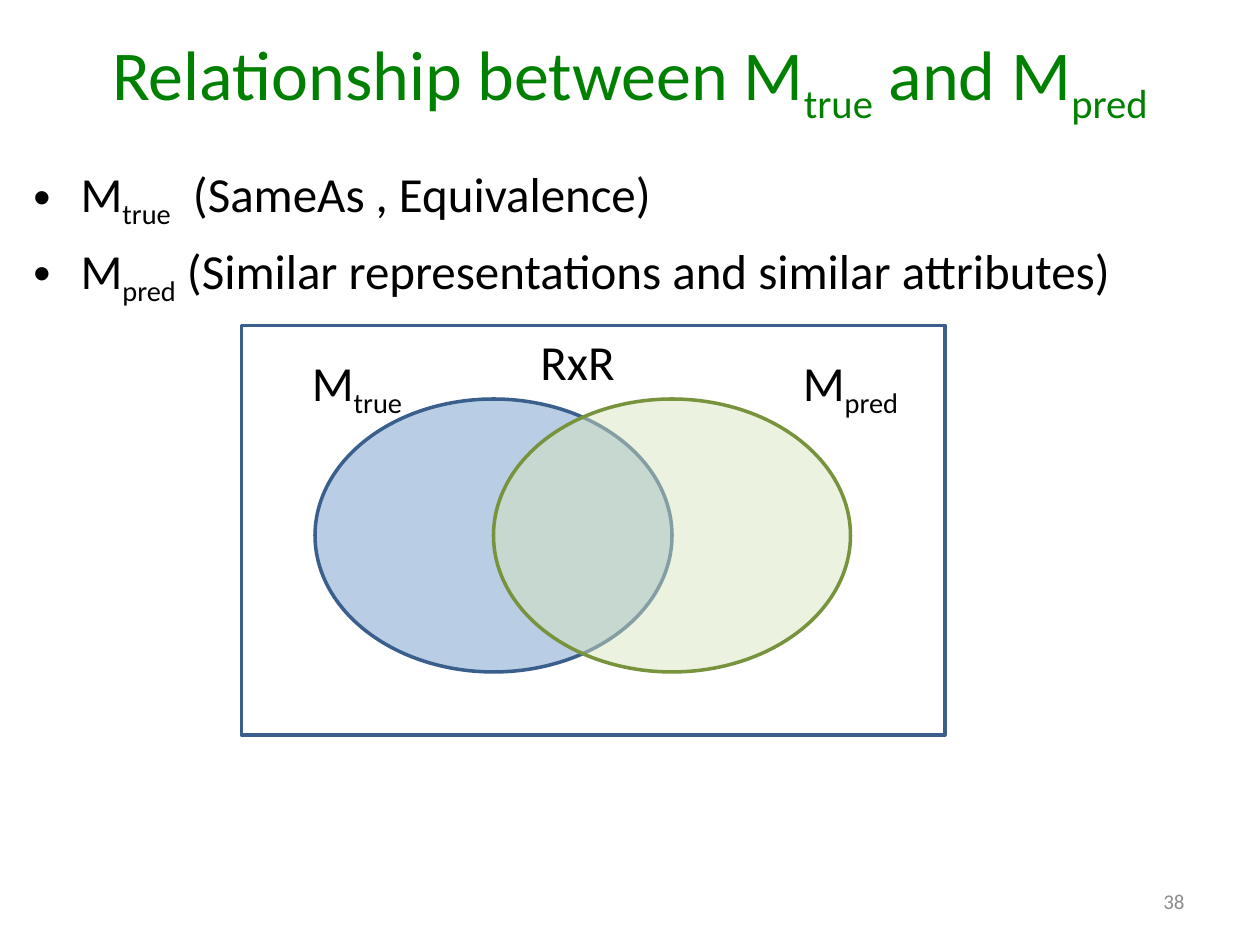
from dataclasses import dataclass

import lxml.etree
import pptx
import pptx.dml.color
import pptx.enum.shapes
import pptx.enum.text
import pptx.oxml.ns
import pptx.util

Align = pptx.enum.text.PP_ALIGN
Anchor = pptx.enum.text.MSO_ANCHOR
Shape = pptx.enum.shapes.MSO_SHAPE


@dataclass(frozen=True)
class Theme:
    font: str = "Calibri"
    title: str = "008000"
    text: str = "000000"
    muted: str = "8C8C8C"
    blue_fill: str = "B9CDE5"
    blue_line: str = "3A5F8C"
    green_fill: str = "D7E4BD"
    green_line: str = "77933C"
    title_size: float = 40
    body_size: float = 28
    number_size: float = 12
    line_width: float = 2


@dataclass(frozen=True)
class Box:
    left: float
    top: float
    width: float
    height: float

    def lengths(self) -> list[pptx.util.Length]:
        return [pptx.util.Pt(value) for value in (self.left, self.top, self.width, self.height)]


@dataclass(frozen=True)
class Piece:
    text: str
    subscript: bool = False


@dataclass(frozen=True)
class TextBlock:
    box: Box
    paragraphs: list[list[Piece]]
    size: float
    color: str
    align: Align = Align.CENTER
    anchor: Anchor = Anchor.TOP
    bulleted: bool = False


@dataclass(frozen=True)
class Outline:
    kind: Shape
    box: Box
    line: str
    fill: str | None = None
    opacity: int = 100


THEME = Theme()
M_TRUE = [Piece("M"), Piece("true", True)]
M_PRED = [Piece("M"), Piece("pred", True)]
BULLET_INDENT = 27
LABEL_HEIGHT = 41

TITLE = TextBlock(
    Box(36, 0, 648, 90),
    [[Piece("Relationship between M"), M_TRUE[1], Piece(" and M"), M_PRED[1]]],
    THEME.title_size, THEME.title, anchor=Anchor.MIDDLE)
BODY = TextBlock(
    Box(12, 90, 696, 402),
    [M_TRUE + [Piece("  (SameAs , Equivalence)")],
     M_PRED + [Piece(" (Similar representations and similar attributes)")]],
    THEME.body_size, THEME.text, Align.LEFT, bulleted=True)
SLIDE_NUMBER = TextBlock(
    Box(516, 500.5, 168, 28.75), [[Piece("38")]],
    THEME.number_size, THEME.muted, Align.RIGHT, Anchor.MIDDLE)
LABELS = [
    TextBlock(Box(left, top, width, LABEL_HEIGHT), [pieces], THEME.body_size, THEME.text)
    for left, top, width, pieces in (
        (162, 198, 84, M_TRUE),
        (276, 186, 108, [Piece("RxR")]),
        (444, 198, 84, M_PRED),
    )
]
OUTLINES = [
    Outline(Shape.OVAL, Box(180, 228, 204, 156), THEME.blue_line, THEME.blue_fill),
    Outline(Shape.OVAL, Box(282, 228, 204, 156), THEME.green_line, THEME.green_fill, 48),
    Outline(Shape.RECTANGLE, Box(138, 186, 402, 234), THEME.blue_line),
]


def rgb(color: str) -> pptx.dml.color.RGBColor:
    return pptx.dml.color.RGBColor.from_string(color)


def add_bullet(paragraph) -> None:
    properties = paragraph._p.get_or_add_pPr()
    indent = pptx.util.Pt(BULLET_INDENT)
    properties.set("marL", str(indent))
    properties.set("indent", str(-indent))
    font = lxml.etree.SubElement(properties, pptx.oxml.ns.qn("a:buFont"))
    font.set("typeface", "Arial")
    bullet = lxml.etree.SubElement(properties, pptx.oxml.ns.qn("a:buChar"))
    bullet.set("char", "•")


def draw_text(slide, block: TextBlock) -> None:
    frame = slide.shapes.add_textbox(*block.box.lengths()).text_frame
    frame.word_wrap = True
    frame.vertical_anchor = block.anchor
    for index, pieces in enumerate(block.paragraphs):
        paragraph = frame.add_paragraph() if index else frame.paragraphs[0]
        paragraph.alignment = block.align
        if index:
            paragraph.space_before = pptx.util.Pt(block.size * 0.2)
        if block.bulleted:
            add_bullet(paragraph)
        for piece in pieces:
            run = paragraph.add_run()
            run.text = piece.text
            run.font.name = THEME.font
            run.font.size = pptx.util.Pt(block.size)
            run.font.color.rgb = rgb(block.color)
            if piece.subscript:
                run.font._element.set("baseline", "-25000")


def draw_outline(slide, outline: Outline) -> None:
    shape = slide.shapes.add_shape(outline.kind, *outline.box.lengths())
    shape.shadow.inherit = False
    shape.line.color.rgb = rgb(outline.line)
    shape.line.width = pptx.util.Pt(THEME.line_width)
    if outline.fill is None:
        shape.fill.background()
        return
    shape.fill.solid()
    shape.fill.fore_color.rgb = rgb(outline.fill)
    if outline.opacity < 100:
        color = shape._element.spPr.find(
            f"{pptx.oxml.ns.qn('a:solidFill')}/{pptx.oxml.ns.qn('a:srgbClr')}")
        alpha = lxml.etree.SubElement(color, pptx.oxml.ns.qn("a:alpha"))
        alpha.set("val", str(outline.opacity * 1000))


def main() -> None:
    presentation = pptx.Presentation()
    presentation.slide_width = pptx.util.Pt(720)
    presentation.slide_height = pptx.util.Pt(540)
    slide = presentation.slides.add_slide(presentation.slide_layouts[6])
    for block in (TITLE, BODY):
        draw_text(slide, block)
    for outline in OUTLINES:
        draw_outline(slide, outline)
    for block in (*LABELS, SLIDE_NUMBER):
        draw_text(slide, block)
    presentation.save("out.pptx")


if __name__ == "__main__":
    main()
